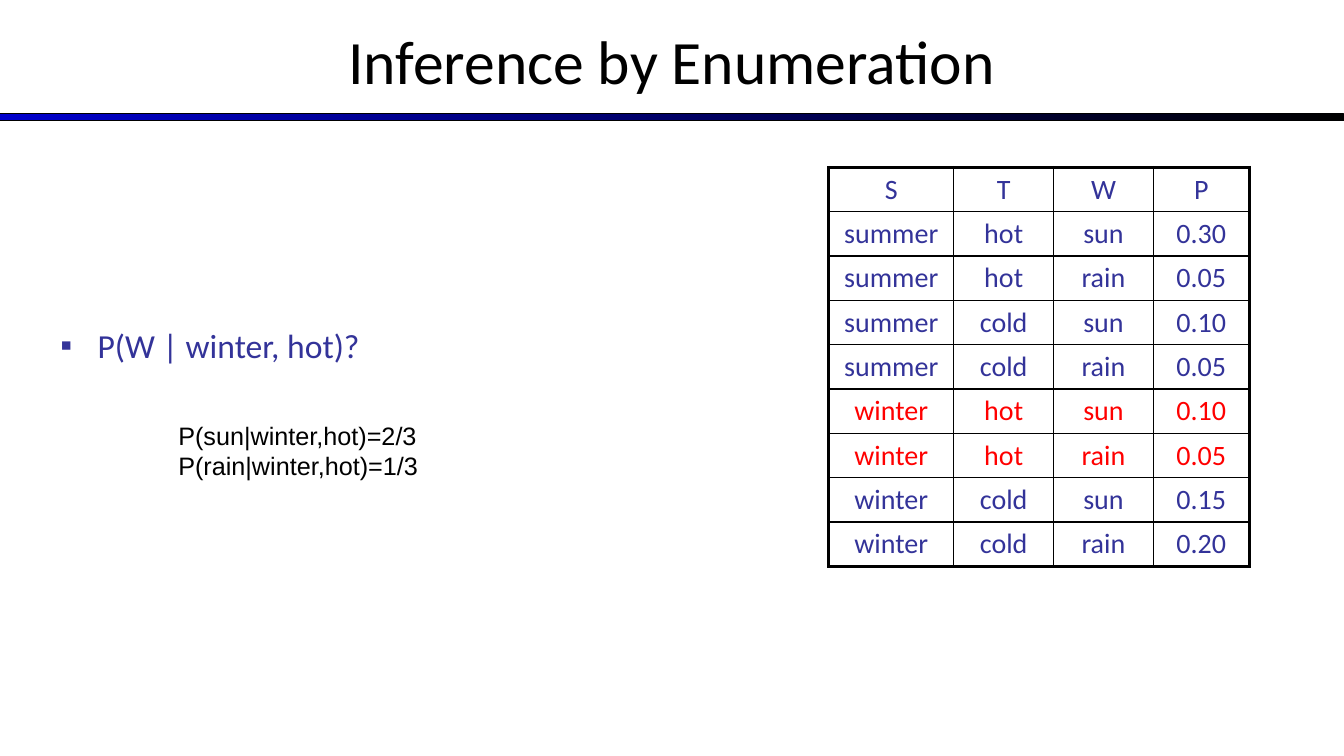
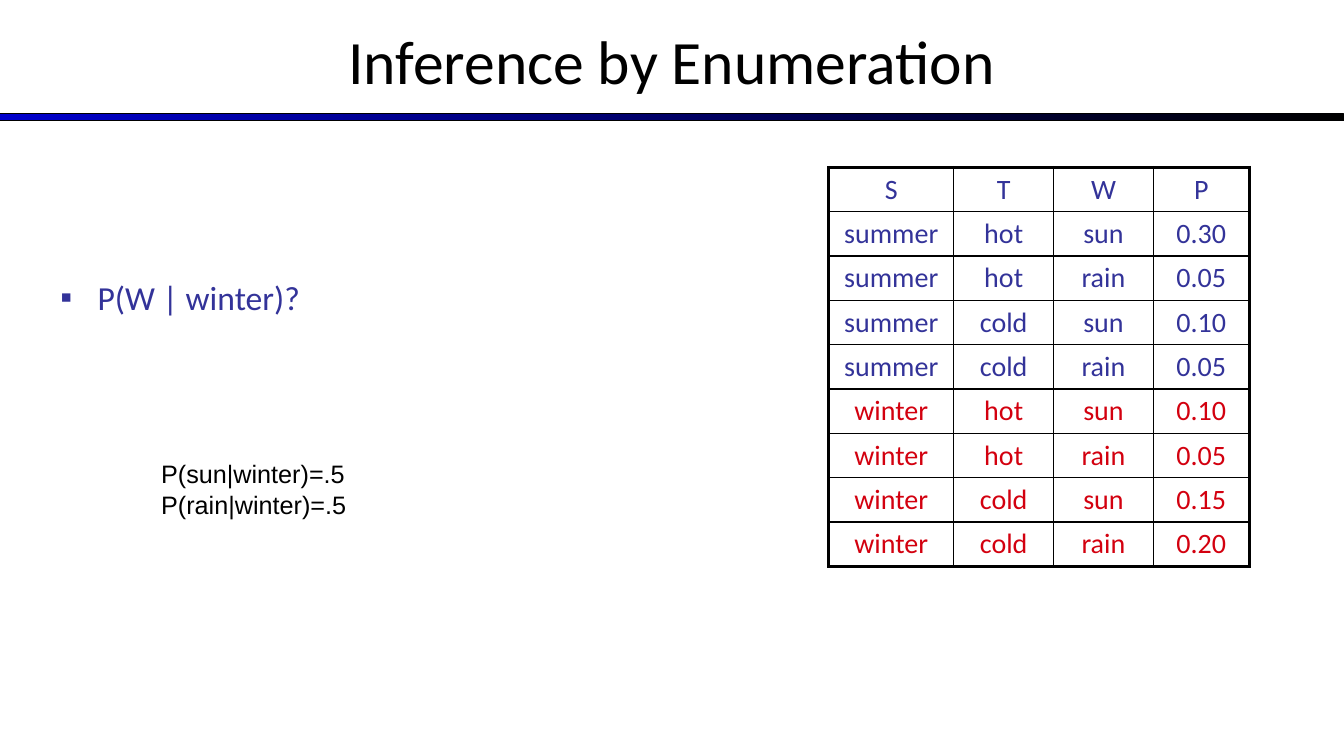
import pptx
import pptx.util
import pptx.dml.color
import pptx.enum.shapes
import pptx.enum.text
import pptx.oxml.ns
from lxml import etree
from pptx.util import Inches

COLORS = {
    "black": "000000",
    "band_start": "0000CC",
    "indigo": "333399",
    "red": "FF0000",
    "crimson": "D3000F",
}
HEADING_FONT = "Calibri"
NOTE_FONT = "Arial"
PAGE_WIDTH, PAGE_HEIGHT = 13.33, 7.5

HEADER = ("S", "T", "W", "P")
DISTRIBUTION = [
    ("summer", "hot", "sun", "0.30"),
    ("summer", "hot", "rain", "0.05"),
    ("summer", "cold", "sun", "0.10"),
    ("summer", "cold", "rain", "0.05"),
    ("winter", "hot", "sun", "0.10"),
    ("winter", "hot", "rain", "0.05"),
    ("winter", "cold", "sun", "0.15"),
    ("winter", "cold", "rain", "0.20"),
]
COLUMN_WIDTHS = (1.24, 0.99, 0.99, 0.95)
ROW_HEIGHT = 0.44
OUTER_BORDER, INNER_BORDER = 2.25, 1


def rgb(name):
    return pptx.dml.color.RGBColor.from_string(COLORS[name])


def add_xml(parent, tag, **attributes):
    return etree.SubElement(parent, pptx.oxml.ns.qn(tag), attributes)


def write(para, text, size=18, font=HEADING_FONT, color="black", align="LEFT"):
    para.alignment = getattr(pptx.enum.text.PP_ALIGN, align)
    span = para.add_run()
    span.text = text
    span.font.size = pptx.util.Pt(size)
    span.font.name = font
    span.font.color.rgb = rgb(color)


def add_text(page, left, top, width, height, lines, anchor="TOP", **style):
    """Add a text box with one paragraph a line; return its paragraphs."""
    box = page.shapes.add_textbox(
        Inches(left), Inches(top), Inches(width), Inches(height))
    frame = box.text_frame
    frame.word_wrap = True
    frame.vertical_anchor = getattr(pptx.enum.text.MSO_ANCHOR, anchor)
    for index, line in enumerate(lines):
        para = frame.add_paragraph() if index else frame.paragraphs[0]
        write(para, line, **style)
    return frame.paragraphs


def add_band(page):
    band = page.shapes.add_shape(
        pptx.enum.shapes.MSO_SHAPE.RECTANGLE,
        Inches(0), Inches(1.13), Inches(PAGE_WIDTH), Inches(0.07))
    band.shadow.inherit = False
    band.fill.gradient()
    band.fill.gradient_angle = 0
    for stop, color in zip(band.fill.gradient_stops, ("band_start", "black")):
        stop.color.rgb = rgb(color)
    band.line.color.rgb = rgb("black")
    band.line.width = pptx.util.Pt(0.75)


def add_question(page, top, text):
    para = add_text(page, 0.5, top, 4.42, 0.5, [text],
                    size=24, color="indigo")[0]
    properties = para._p.get_or_add_pPr()
    properties.set("marL", str(Inches(0.37)))
    properties.set("indent", str(-Inches(0.37)))
    bullet_color = add_xml(properties, "a:buClr")
    add_xml(bullet_color, "a:srgbClr", val=COLORS["indigo"])
    add_xml(properties, "a:buFont", typeface=NOTE_FONT)
    add_xml(properties, "a:buChar", char="▪")


def set_borders(cell, widths):
    """Draw cell borders; widths maps the sides L, R, T, B to points."""
    properties = cell._tc.get_or_add_tcPr()
    for side, width in widths.items():
        line = add_xml(properties, "a:ln" + side, w=str(pptx.util.Pt(width)))
        fill = add_xml(line, "a:solidFill")
        add_xml(fill, "a:srgbClr", val=COLORS["black"])


def add_distribution(page, evidence, highlight):
    """Add the joint table, with rows that begin with evidence highlighted."""
    rows = [HEADER] + DISTRIBUTION
    table = page.shapes.add_table(
        len(rows), len(HEADER), Inches(8.22), Inches(1.66),
        Inches(sum(COLUMN_WIDTHS)), Inches(ROW_HEIGHT * len(rows))).table
    table.first_row = False
    table.horz_banding = False
    for column, width in zip(table.columns, COLUMN_WIDTHS):
        column.width = Inches(width)

    def border(is_outer):
        return OUTER_BORDER if is_outer else INNER_BORDER

    for row_index, values in enumerate(rows):
        table.rows[row_index].height = Inches(ROW_HEIGHT)
        matches = values[:len(evidence)] == evidence
        for column_index, value in enumerate(values):
            cell = table.cell(row_index, column_index)
            write(cell.text_frame.paragraphs[0], value, size=20,
                  color=highlight if matches else "indigo", align="CENTER")
            set_borders(cell, {
                "L": border(column_index == 0),
                "R": border(column_index == len(HEADER) - 1),
                "T": border(row_index == 0),
                "B": border(row_index == len(rows) - 1),
            })
            cell.fill.background()


def add_page(deck):
    """Add a blank page with the shared band and title."""
    page = deck.slides.add_slide(deck.slide_layouts[6])
    add_band(page)
    add_text(page, 0, -0.03, PAGE_WIDTH, 1.25, ["Inference by Enumeration"],
             anchor="MIDDLE", size=44, align="CENTER")
    return page


def main():
    deck = pptx.Presentation()
    deck.slide_width = Inches(PAGE_WIDTH)
    deck.slide_height = Inches(PAGE_HEIGHT)

    page = add_page(deck)
    add_question(page, 3.17, "P(W | winter, hot)?")
    add_distribution(page, ("winter", "hot"), "red")
    add_text(page, 1.67, 4.12, 2.84, 0.71,
             ["P(sun|winter,hot)=2/3", "P(rain|winter,hot)=1/3"],
             font=NOTE_FONT)

    page = add_page(deck)
    add_question(page, 2.7, "P(W | winter)?")
    add_distribution(page, ("winter",), "crimson")
    add_text(page, 1.5, 4.5, 3.07, 0.71,
             ["P(sun|winter)=.5", "P(rain|winter)=.5"], font=NOTE_FONT)

    deck.save("out.pptx")


if __name__ == "__main__":
    main()
